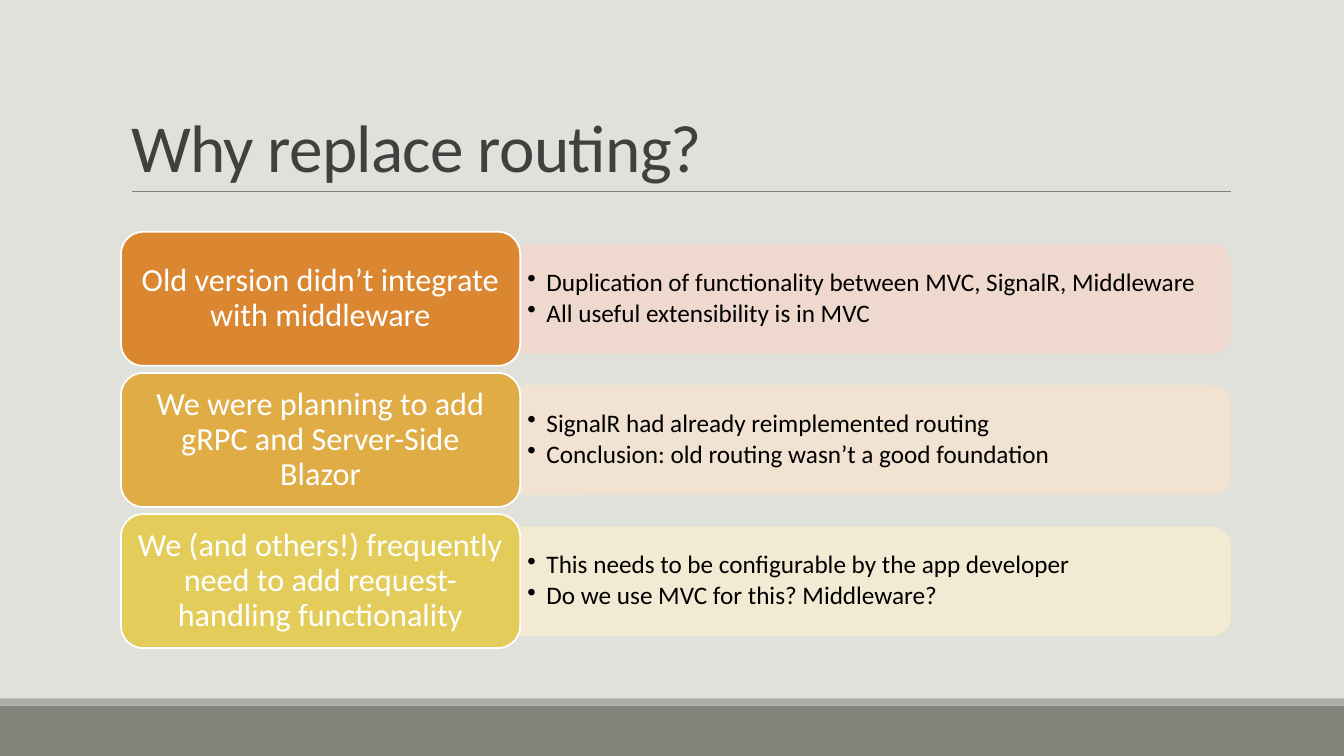
from dataclasses import dataclass

from lxml import etree
from pptx import Presentation
from pptx import util as u
from pptx.dml.color import RGBColor
from pptx.enum import shapes, text
from pptx.oxml.ns import qn

TITLE = "Why replace routing?"
# label, label colour, band colour, details
REASONS = [
    ("Old version didn\u2019t integrate with middleware", "DB8631", "F1D9CE",
     ["Duplication of functionality between MVC, SignalR, Middleware",
      "All useful extensibility is in MVC"]),
    ("We were planning to add gRPC and Server-Side Blazor", "DFAC45", "F3E3D0",
     ["SignalR had already reimplemented routing",
      "Conclusion: old routing wasn\u2019t a good foundation"]),
    ("We (and others!) frequently need to add request-handling functionality",
     "E3CC5A", "F4ECD2",
     ["This needs to be configurable by the app developer",
      "Do we use MVC for this? Middleware?"]),
]


@dataclass(frozen=True)
class Theme:
    """Colours, font and type sizes of the slide."""
    font: str = "Calibri"
    background: str = "E1E1DB"
    footer: str = "82847C"
    footer_edge: str = "ACADA8"
    rule: str = "808080"
    title: str = "404040"
    label: str = "FFFFFF"
    detail: str = "000000"
    title_size: int = 48
    label_size: int = 23
    detail_size: int = 18
    outline: float = 1.25
    band_alpha: int = 90


T = Theme()
SLIDE_W, SLIDE_H = 13.33, 7.5
LEFT, TOP, PITCH = 1.2, 2.3, 1.4
LABEL_W, LABEL_H = 3.96, 1.33
BAND_W, BAND_H = 7.04, 1.07
DETAIL_W, DETAIL_H = 6.99, 0.96


def rgb(value):
    """Turn a hex string into a colour."""
    return RGBColor.from_string(value)


def box(x, y, w, h):
    """Convert a frame in inches to lengths."""
    return [u.Inches(v) for v in (x, y, w, h)]


def add_shape(s, kind, frame, fill, line=None):
    """Add a flat shape, outlined only when a line colour is given."""
    sp = s.shapes.add_shape(kind, *box(*frame))
    sp.shadow.inherit = False
    sp.fill.solid()
    sp.fill.fore_color.rgb = rgb(fill)
    if line:
        sp.line.color.rgb = rgb(line)
        sp.line.width = u.Pt(T.outline)
    else:
        sp.line.fill.background()
    return sp


def set_text(sp, lines, size, color, align, spacing, anchor, insets=(0.1, 0.05)):
    """Write and format paragraphs in a shape."""
    tf = sp.text_frame
    tf.text = "\n".join(lines)
    tf.word_wrap = True
    tf.auto_size = text.MSO_AUTO_SIZE.NONE
    tf.vertical_anchor = anchor
    tf.margin_left = tf.margin_right = u.Inches(insets[0])
    tf.margin_top = tf.margin_bottom = u.Inches(insets[1])
    for p in tf.paragraphs:
        p.alignment = align
        p.line_spacing = spacing
        for r in p.runs:
            r.font.name = T.font
            r.font.size = u.Pt(size)
            r.font.color.rgb = rgb(color)
    return tf.paragraphs


def add_bullet(p):
    """Give a paragraph a hanging bullet."""
    p.space_after = u.Pt(2.7)
    pPr = p._p.get_or_add_pPr()
    pPr.set("marL", str(u.Inches(0.19)))
    pPr.set("indent", str(-u.Inches(0.19)))
    etree.SubElement(pPr, qn("a:buChar")).set("char", "\u2022")


def add_backdrop(s):
    """Colour the background and add the footer bars and the title rule."""
    s.background.fill.solid()
    s.background.fill.fore_color.rgb = rgb(T.background)
    rect = shapes.MSO_SHAPE.RECTANGLE
    add_shape(s, rect, (0, 7, SLIDE_W, 0.5), T.footer)
    add_shape(s, rect, (0, 6.93, SLIDE_W, 0.07), T.footer_edge)
    rule = s.shapes.add_connector(shapes.MSO_CONNECTOR.STRAIGHT,
                                  *box(1.31, 1.9, 12.21, 1.9))
    rule.line.color.rgb = rgb(T.rule)
    rule.line.width = u.Pt(0.5)
    etree.SubElement(rule._element.spPr, qn("a:effectLst"))


def add_title(s):
    """Place and format the title placeholder."""
    sp = s.shapes.title
    sp.left, sp.top, sp.width, sp.height = box(LEFT, 0.31, 11, 1.59)
    p = set_text(sp, [TITLE], T.title_size, T.title, text.PP_ALIGN.LEFT, 0.85,
                 text.MSO_ANCHOR.BOTTOM)[0]
    p.runs[0].font._element.set("spc", "-50")


def add_reason(s, top, label, label_fill, band_fill, details):
    """Add one row: a band with bulleted details and a label."""
    middle, right = top + LABEL_H / 2, LEFT + LABEL_W
    # The band is a tall shape turned on its side, so its sides are swapped.
    band = add_shape(s, shapes.MSO_SHAPE.ROUND_2_SAME_RECTANGLE,
                     (right + (BAND_W - BAND_H) / 2, middle - BAND_W / 2,
                      BAND_H, BAND_W), band_fill, band_fill)
    band.rotation = 90
    for clr in band._element.spPr.iter(qn("a:srgbClr")):
        etree.SubElement(clr, qn("a:alpha")).set("val", str(T.band_alpha * 1000))

    tb = s.shapes.add_textbox(*box(right, middle - DETAIL_H / 2, DETAIL_W, DETAIL_H))
    for p in set_text(tb, details, T.detail_size, T.detail, text.PP_ALIGN.LEFT,
                      0.9, text.MSO_ANCHOR.MIDDLE, (0.07, 0.04)):
        add_bullet(p)

    sp = add_shape(s, shapes.MSO_SHAPE.ROUNDED_RECTANGLE,
                   (LEFT, top, LABEL_W, LABEL_H), label_fill, T.label)
    set_text(sp, [label], T.label_size, T.label, text.PP_ALIGN.CENTER, 0.9,
             text.MSO_ANCHOR.MIDDLE)


prs = Presentation()
prs.slide_width, prs.slide_height = u.Inches(SLIDE_W), u.Inches(SLIDE_H)
s = prs.slides.add_slide(prs.slide_layouts[5])
add_backdrop(s)
add_title(s)
for i, reason in enumerate(REASONS):
    add_reason(s, TOP + i * PITCH, *reason)
prs.save("out.pptx")
